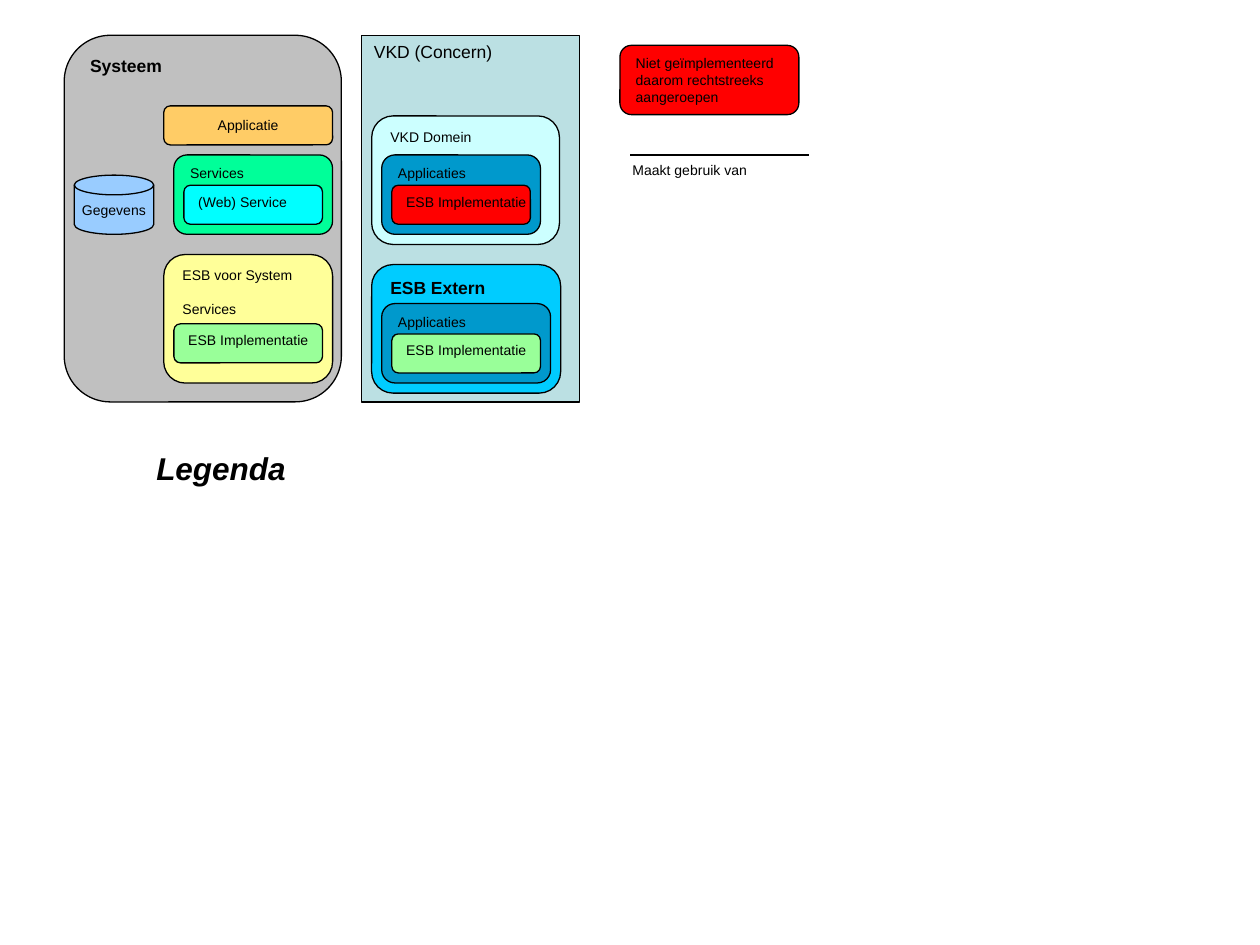
import pptx
import pptx.util
import pptx.dml.color
import pptx.enum.shapes
import pptx.enum.text
import pptx.oxml.ns
import lxml.etree

Inches = pptx.util.Inches
Pt = pptx.util.Pt
KIND = pptx.enum.shapes.MSO_SHAPE
ALIGN = pptx.enum.text.PP_ALIGN
ANCHOR = pptx.enum.text.MSO_ANCHOR
SIZING = pptx.enum.text.MSO_AUTO_SIZE

ROUND = KIND.FLOWCHART_ALTERNATE_PROCESS
BLACK = "000000"


def color(text):
    return pptx.dml.color.RGBColor.from_string(text)


def write(shape, lines, size=8, bold=False, italic=False, center=False, gap=0):
    frame = shape.text_frame
    frame.word_wrap = False
    frame.margin_left = frame.margin_right = Inches(0.1)
    frame.margin_top = frame.margin_bottom = Inches(0.05)
    frame.vertical_anchor = ANCHOR.MIDDLE if center else ANCHOR.TOP
    for i, line in enumerate(lines):
        para = frame.paragraphs[0] if i == 0 else frame.add_paragraph()
        para.alignment = ALIGN.CENTER if center else ALIGN.LEFT
        para.space_before = Pt(gap if i else 0)
        run = para.add_run()
        run.text = line
        font = run.font
        font.name = "Arial"
        font.size = Pt(size)
        font.bold = bold
        font.italic = italic
        font.color.rgb = color(BLACK)


def add_box(slide, place, fill, lines, kind=ROUND, **style):
    box = slide.shapes.add_shape(kind, *map(Inches, place))
    box.shadow.inherit = False
    box.fill.solid()
    box.fill.fore_color.rgb = color(fill)
    box.line.color.rgb = color(BLACK)
    box.line.width = Pt(0.75)
    write(box, lines, **style)


def add_line(slide, start, end):
    kind = pptx.enum.shapes.MSO_CONNECTOR.STRAIGHT
    line = slide.shapes.add_connector(kind, *map(Inches, start + end))
    line.line.color.rgb = color(BLACK)
    line.line.width = Pt(0.75)
    tag = pptx.oxml.ns.qn("a:effectLst")
    lxml.etree.SubElement(line._element.spPr, tag)


def add_label(slide, place, text):
    label = slide.shapes.add_textbox(*map(Inches, place))
    write(label, [text])
    label.text_frame.auto_size = SIZING.SHAPE_TO_FIT_TEXT


def set_title(slide, place, text):
    title = slide.shapes.title
    title.left, title.top, title.width, title.height = map(Inches, place)
    write(title, [text], size=18, bold=True, italic=True)
    title.text_frame.auto_size = SIZING.SHAPE_TO_FIT_TEXT


def add_concern(slide):
    add_box(slide, (2.87, 0.28, 1.73, 2.91), "BBE0E3", ["VKD (Concern)"],
            kind=KIND.RECTANGLE, size=10)
    add_box(slide, (2.95, 0.92, 1.49, 1.02), "CCFFFF", ["VKD Domein"])
    add_box(slide, (2.95, 2.1, 1.5, 1.02), "00CCFF", ["ESB Extern"],
            size=10, bold=True)
    for top, width, fill in ((1.23, 1.26, "FF0000"), (2.41, 1.34, "99FF99")):
        add_box(slide, (3.03, top, width, 0.63), "0099CC", ["Applicaties"])
        add_box(slide, (3.11, top + 0.24, width - 0.16, 0.31), fill,
                ["ESB Implementatie"])


def add_system(slide):
    add_box(slide, (0.51, 0.28, 2.2, 2.91), "C0C0C0", ["Systeem"],
            size=10, bold=True)
    add_box(slide, (1.3, 0.84, 1.34, 0.31), "FFCC66", ["Applicatie"],
            center=True)
    add_box(slide, (0.59, 1.39, 0.63, 0.47), "99CCFF", ["Gegevens"],
            kind=KIND.FLOWCHART_MAGNETIC_DISK, center=True)
    add_box(slide, (1.38, 1.23, 1.26, 0.63), "00FF99", ["Services"])
    add_box(slide, (1.46, 1.47, 1.1, 0.31), "00FFFF", ["(Web) Service"])
    add_box(slide, (1.3, 2.02, 1.34, 1.02), "FFFF99",
            ["ESB voor System", "Services"], gap=9.5)
    add_box(slide, (1.38, 2.57, 1.18, 0.31), "99FF99", ["ESB Implementatie"])


def add_notes(slide):
    add_box(slide, (4.92, 0.36, 1.42, 0.55), "FF0000",
            ["Niet geïmplementeerd", "daarom rechtstreeks", "aangeroepen"])
    add_line(slide, (5, 1.23), (6.42, 1.23))
    add_label(slide, (4.92, 1.23, 1.11, 0.24), "Maakt gebruik van")


def main():
    deck = pptx.Presentation()
    deck.slide_width = Inches(10)
    deck.slide_height = Inches(7.5)
    slide = deck.slides.add_slide(deck.slide_layouts[5])
    set_title(slide, (1.14, 3.51, 1.23, 0.4), "Legenda")
    add_concern(slide)
    add_system(slide)
    add_notes(slide)
    deck.save("out.pptx")


if __name__ == "__main__":
    main()
